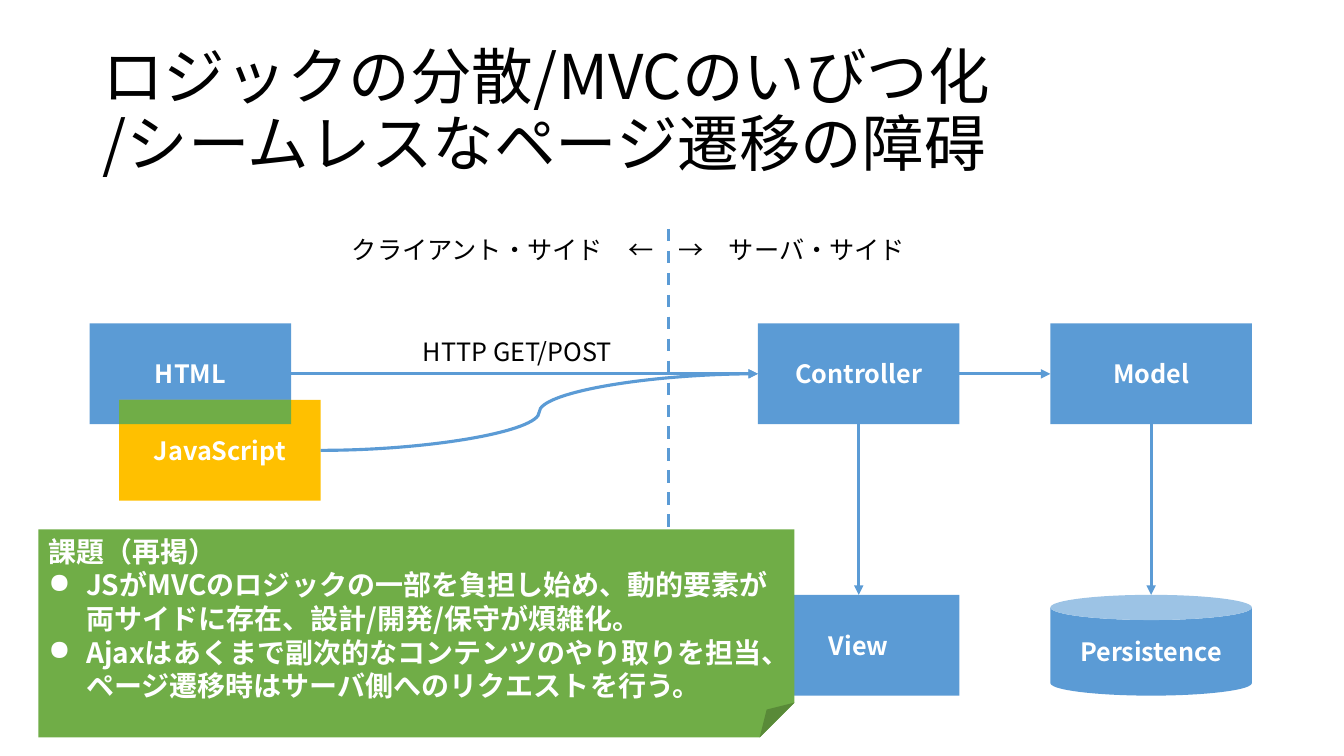
"""Build a slide on how logic spreads across the client and server sides."""
from pptx import Presentation
from pptx.dml.color import RGBColor
from pptx.enum.dml import MSO_LINE
from pptx.enum.shapes import MSO_CONNECTOR, MSO_SHAPE
from pptx.enum.text import MSO_ANCHOR, PP_ALIGN
from pptx.oxml.ns import qn
from pptx.util import Cm, Pt
from lxml.etree import SubElement

BLUE = RGBColor(0x5B, 0x9B, 0xD5)
GOLD = RGBColor(0xFF, 0xC0, 0x00)
GREEN = RGBColor(0x70, 0xAD, 0x47)
BLACK = RGBColor(0, 0, 0)
WHITE = RGBColor(0xFF, 0xFF, 0xFF)
FONT = "Noto Sans CJK JP"

deck = Presentation()
deck.slide_width, deck.slide_height = Cm(33.87), Cm(19.05)
slide = deck.slides.add_slide(deck.slide_layouts[6])


def write(shape, text, size, color, bold=False, align=PP_ALIGN.LEFT):
    shape.text_frame.text = text
    for para in shape.text_frame.paragraphs:
        para.alignment = align
        for run in para.runs:
            font = run.font
            font.name, font.size, font.bold = FONT, Pt(size), bold
            font.color.rgb = color
            SubElement(font._element, qn("a:ea")).set("typeface", FONT)


def block(home, kind, box, fill, text=""):
    shape = home.shapes.add_shape(kind, *[Cm(n) for n in box])
    shape.shadow.inherit = False
    shape.fill.solid()
    shape.fill.fore_color.rgb = fill
    shape.line.fill.background()
    shape.text_frame.vertical_anchor = MSO_ANCHOR.MIDDLE
    write(shape, text, 18, WHITE, True, PP_ALIGN.CENTER)
    return shape


title = slide.shapes.add_textbox(Cm(2.33), Cm(1.01), Cm(29.21), Cm(3.68))
title.text_frame.word_wrap = True
title.text_frame.vertical_anchor = MSO_ANCHOR.MIDDLE
write(title, "ロジックの分散/MVCのいびつ化\v/シームレスなページ遷移の障碍", 44, BLACK)
title.text_frame.paragraphs[0].line_spacing = 0.9

border = slide.shapes.add_connector(
    MSO_CONNECTOR.STRAIGHT, Cm(16.85), Cm(5.77), Cm(16.85), Cm(17.53))
border.line.dash_style = MSO_LINE.DASH

WIDE, HIGH = 5.08, 2.54
LEFT, MID, RIGHT = 2.26, 19.1, 26.47
TOP, LOW = 8.15, 14.99
RECT = MSO_SHAPE.RECTANGLE

store = block(slide, MSO_SHAPE.CAN, (RIGHT, LOW, WIDE, HIGH), BLUE, "Persistence")
model = block(slide, RECT, (RIGHT, TOP, WIDE, HIGH), BLUE, "Model")
control = block(slide, RECT, (MID, TOP, WIDE, HIGH), BLUE, "Controller")
view = block(slide, RECT, (MID, LOW, WIDE, HIGH), BLUE, "View")

client = slide.shapes.add_group_shape()
html = block(client, RECT, (LEFT, TOP, WIDE, HIGH), BLUE, "HTML")
script = block(client, RECT, (3, 10.08, WIDE, HIGH), GOLD, "JavaScript")
block(client, RECT, (3, 10.08, LEFT + WIDE - 3, TOP + HIGH - 10.08), GREEN)

labels = [
    ("→\u3000サーバ・サイド", 16.85, 5.77, 6.27),
    ("クライアント・サイド\u3000←", 8.62, 5.77, 8.2),
    ("HTTP GET/POST", 10.41, 8.36, 5.69),
]
for text, left, top, width in labels:
    label = slide.shapes.add_textbox(Cm(left), Cm(top), Cm(width), Cm(1.03))
    label.text_frame.word_wrap = False
    write(label, text, 18, BLACK)

note = block(slide, MSO_SHAPE.FOLDED_CORNER, (0.97, 13.34, 19.05, 5.24), GREEN)
note.text_frame.vertical_anchor = MSO_ANCHOR.TOP
write(note, "課題（再掲）\n"
      "JSがMVCのロジックの一部を負担し始め、動的要素が両サイドに存在、設計/開発/保守が煩雑化。\n"
      "Ajaxはあくまで副次的なコンテンツのやり取りを担当、ページ遷移時はサーバ側へのリクエストを行う。",
      20, WHITE, True)
for para in note.text_frame.paragraphs[1:]:
    props = para._p.get_or_add_pPr()
    props.set("marL", str(Cm(0.95)))
    props.set("indent", str(-Cm(0.95)))
    SubElement(props, qn("a:buChar")).set("char", "●")

links = [border]
for kind, start, out, end, into in [
    (MSO_CONNECTOR.STRAIGHT, html, 3, control, 1),
    (MSO_CONNECTOR.STRAIGHT, control, 3, model, 1),
    (MSO_CONNECTOR.STRAIGHT, control, 2, view, 0),
    (MSO_CONNECTOR.STRAIGHT, model, 2, store, None),
    (MSO_CONNECTOR.CURVE, script, 3, control, 1),
]:
    link = slide.shapes.add_connector(
        kind, start.left, start.top, end.left + end.width // 2, end.top)
    link.begin_connect(start, out)
    if into is not None:
        link.end_connect(end, into)
    links.append(link)

for link in links:
    link.line.color.rgb = BLUE
    link.line.width = Pt(2.25)
    if link is not border:
        SubElement(link.line._get_or_add_ln(), qn("a:tailEnd")).set("type", "triangle")
    SubElement(link._element.spPr, qn("a:effectLst"))

deck.save("out.pptx")
